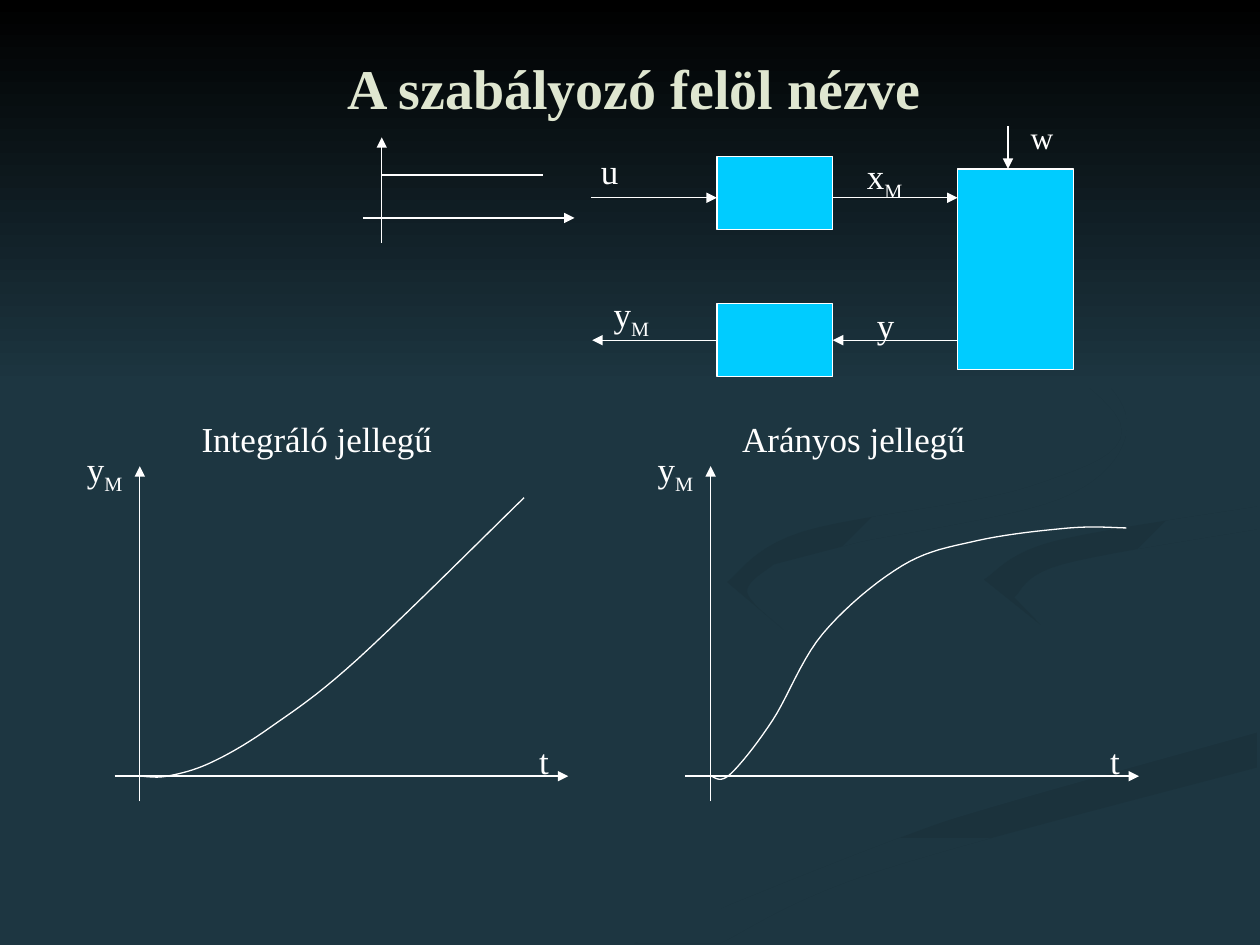
from lxml import etree
from pptx import Presentation
from pptx.dml.color import RGBColor
from pptx.enum.shapes import MSO_CONNECTOR, MSO_SHAPE
from pptx.enum.text import MSO_ANCHOR, MSO_AUTO_SIZE, PP_ALIGN
from pptx.oxml.ns import qn
from pptx.util import Inches, Pt

RECT, STRAIGHT = MSO_SHAPE.RECTANGLE, MSO_CONNECTOR.STRAIGHT
LEFT, CENTER, RIGHT = PP_ALIGN.LEFT, PP_ALIGN.CENTER, PP_ALIGN.RIGHT
SIDE_LEFT, SIDE_RIGHT = 1, 3
THEME = dict(font="Times New Roman", title=32, label=20, small=18, line=0.75,
             bg="1D3641", top="000000", dark="1B323C", soft="1C343E",
             title_color="DFE6D0", ink="FFFFFF", box="00CCFF")

# Content
TITLE = "A szabályozó felöl nézve"
BOXES = {"actuator": (5.69, 1.24, 0.92, 0.58),
         "process": (7.6, 1.34, 0.92, 1.59),
         "sensor": (5.69, 2.41, 0.92, 0.58)}
# start, end, arrowhead
SIGNALS = [((4.69, 1.57), (5.69, 1.57), True),
           ((6.61, 1.57), (7.6, 1.57), True),
           ((8, 1), (8, 1.34), True),
           ((2.88, 1.73), (4.56, 1.73), True),
           ((3.03, 1.93), (3.03, 1.09), True),
           ((3.03, 1.39), (4.31, 1.39), False)]
# text, subscript, left, top, width
SIGNAL_LABELS = [("u", "", 4.75, 1.19, 0.2), ("y", "M", 4.85, 2.32, 0.34),
                 ("y", "", 6.94, 2.41, 0.28), ("x", "M", 6.86, 1.23, 0.41)]
# Curve points are relative to the origin of the graph, y upwards
GRAPHS = [
    dict(name="Integráló jellegű", name_left=1.6, name_width=2.07, origin=1.11,
         curve=[(0, 0), (.22, 0), (.57, .11), (1.04, .39), (1.73, .93), (3.05, 2.21)]),
    dict(name="Arányos jellegű", name_left=5.89, name_width=2.36, origin=5.64,
         curve=[(0, 0), (.15, .01), (.49, .44), (.89, 1.13), (1.52, 1.67),
                (2.12, 1.87), (2.85, 1.97), (3.3, 1.97)]),
]
AXIS_Y = 6.16

# Background ribbons: start colour, end colour, clockwise angle, smooth edges
RIBBONS = [
    ("bg", "soft", 0, [
        [(7.81, 5.53), (6.82, 5.19), (6.02, 4.9), (5.75, 4.59)],
        [(5.7, 4.7), (6.31, 5.05), (7.41, 5.39), (7.86, 5.66), (7.39, 5.98),
         (5.79, 6.39), (3, 7.49)],
        [(3.61, 7.49), (5.64, 6.65), (7.4, 6.18), (8, 5.81), (7.81, 5.53)]]),
    ("bg", "soft", 45, [
        [(9.43, 5.7), (8.88, 5.35), (7.74, 5.03), (7.24, 4.64)],
        [(7.55, 5.05), (8.68, 5.44), (9.18, 5.81), (8.94, 6.05)]]),
    ("dark", "bg", 90, [
        [(5.71, 7.49), (6.95, 6.92), (9.98, 6.09)],
        [(9.98, 5.81), (7.64, 6.47), (5.03, 7.49)]]),
    ("bg", "bg", 0, [
        [(7.25, 4.64), (7.75, 5.03), (9.05, 5.4), (9.43, 5.7), (8.92, 6.05),
         (7.04, 6.55), (4.77, 7.49)],
        [(5.19, 7.47), (6.96, 6.69), (9.99, 5.81)],
        [(9.99, 5.38), (8.48, 5.03), (7.81, 4.63), (8.35, 4.3), (9.99, 4.02)],
        [(9.99, 3.87), (8.3, 4.15), (7.25, 4.64)]]),
    ("dark", "bg", 45, [
        [(7.81, 4.6), (8.26, 4.96)],
        [(8.05, 4.74), (8.43, 4.48), (9.98, 4.2)],
        [(9.98, 4.02), (8.35, 4.3), (7.81, 4.6)]]),
    ("dark", "bg", 45, [
        [(7.62, 2.33), (8.64, 2.91), (8.94, 3.44), (8.41, 3.96), (6.83, 4.3)],
        [(6.14, 4.48), (5.93, 4.7), (6.22, 5)],
        [(5.77, 4.62), (6.37, 4.22), (8.18, 3.86), (8.89, 3.35), (7.62, 2.33)]]),
    ("top", "bg", 90, [[(0, 0), (10, 0)], [(10, 3.08), (0, 3.08)]]),
]


def rgb(key):
    return RGBColor.from_string(THEME[key])


def spline(points, steps=10):
    """Smooth curve through all points."""
    ends = [points[0], *points, points[-1]]
    smooth = [points[0]]
    for a, b, c, d in zip(ends, ends[1:], ends[2:], ends[3:]):
        for t in (k / steps for k in range(1, steps + 1)):
            smooth.append(tuple(
                q + t / 2 * (r - p + t * (2 * p - 5 * q + 4 * r - w
                                          + t * (3 * (q - r) + w - p)))
                for p, q, r, w in zip(a, b, c, d)))
    return smooth


def style_line(line):
    line.color.rgb = rgb("ink")
    line.width = Pt(THEME["line"])


def add_outline(s, points, close):
    start, *rest = [(Inches(x), Inches(y)) for x, y in points]
    builder = s.shapes.build_freeform(*start, scale=1.0)
    builder.add_line_segments(rest, close=close)
    sp = builder.convert_to_shape()
    sp.shadow.inherit = False
    return sp


def add_ribbon(s, first, last, angle, edges):
    sp = add_outline(s, [pt for edge in edges for pt in spline(edge)], True)
    sp.line.fill.background()
    sp.fill.gradient()
    sp.fill.gradient_angle = (360 - angle) % 360
    for stop, key in zip(sp.fill.gradient_stops, (first, last)):
        stop.color.rgb = rgb(key)


def add_line(s, start, end, arrow=True):
    c = s.shapes.add_connector(STRAIGHT, *map(Inches, start + end))
    style_line(c.line)
    if arrow:
        etree.SubElement(c.line._get_or_add_ln(), qn("a:tailEnd"), type="triangle")
    etree.SubElement(c._element.spPr, qn("a:effectLst"))
    return c


def add_label(s, text, sub, left, top, width, size=THEME["label"], align=LEFT, inset=0.02):
    box = s.shapes.add_textbox(*map(Inches, (left, top, width, size / 60)))
    tf = box.text_frame
    tf.word_wrap, tf.auto_size = True, MSO_AUTO_SIZE.SHAPE_TO_FIT_TEXT
    tf.margin_left = tf.margin_right = Inches(inset)
    tf.margin_top = tf.margin_bottom = 0
    p = tf.paragraphs[0]
    p.alignment = align
    for part in filter(None, (text, sub)):
        r = p.add_run()
        r.text = part
        r.font.name, r.font.size = THEME["font"], Pt(size)
        r.font.color.rgb = rgb("ink")
    if sub:
        r._r.get_or_add_rPr().set("baseline", "-25000")


def add_graph(s, graph):
    x = graph["origin"]
    add_label(s, graph["name"], "", graph["name_left"], 3.31, graph["name_width"], inset=0)
    add_line(s, (x - 0.2, AXIS_Y), (x + 3.4, AXIS_Y))
    add_line(s, (x, AXIS_Y + 0.2), (x, 3.7))
    add_label(s, "t", "", x + 3.15, 5.87, 0.2)
    add_label(s, "y", "M", x - 0.44, 3.55, 0.34)
    curve = [(x + px, AXIS_Y - py) for px, py in spline(graph["curve"])]
    sp = add_outline(s, curve, False)
    sp.fill.background()
    style_line(sp.line)


def main():
    prs = Presentation()
    prs.slide_width, prs.slide_height = Inches(10), Inches(7.5)
    s = prs.slides.add_slide(prs.slide_layouts[5])

    # Background
    s.background.fill.solid()
    s.background.fill.fore_color.rgb = rgb("bg")
    for ribbon in RIBBONS:
        add_ribbon(s, *ribbon)

    # Title, brought in front of the background
    title = s.shapes.title
    s.shapes._spTree.append(title._element)
    title.left, title.top, title.width, title.height = map(Inches, (2.65, 0.38, 4.77, 0.63))
    tf = title.text_frame
    tf.text = TITLE
    tf.word_wrap, tf.vertical_anchor = False, MSO_ANCHOR.MIDDLE
    tf.auto_size = MSO_AUTO_SIZE.SHAPE_TO_FIT_TEXT
    p = tf.paragraphs[0]
    p.alignment = CENTER
    font = p.runs[0].font
    font.name, font.size, font.bold = THEME["font"], Pt(THEME["title"]), True
    font.color.rgb = rgb("title_color")

    # Control loop
    boxes = {}
    for name, place in BOXES.items():
        sp = boxes[name] = s.shapes.add_shape(RECT, *map(Inches, place))
        sp.shadow.inherit = False
        sp.fill.solid()
        sp.fill.fore_color.rgb = rgb("box")
        style_line(sp.line)
    for signal in SIGNALS:
        add_line(s, *signal)
    add_line(s, (7.6, 2.7), (6.61, 2.7)).end_connect(boxes["sensor"], SIDE_RIGHT)
    add_line(s, (5.69, 2.7), (4.7, 2.7)).begin_connect(boxes["sensor"], SIDE_LEFT)
    for label in SIGNAL_LABELS:
        add_label(s, *label)
    add_label(s, "w", "", 8.1, 0.94, 0.28, THEME["small"], RIGHT)

    # Step responses
    for graph in GRAPHS:
        add_graph(s, graph)
    prs.save("out.pptx")


if __name__ == "__main__":
    main()
